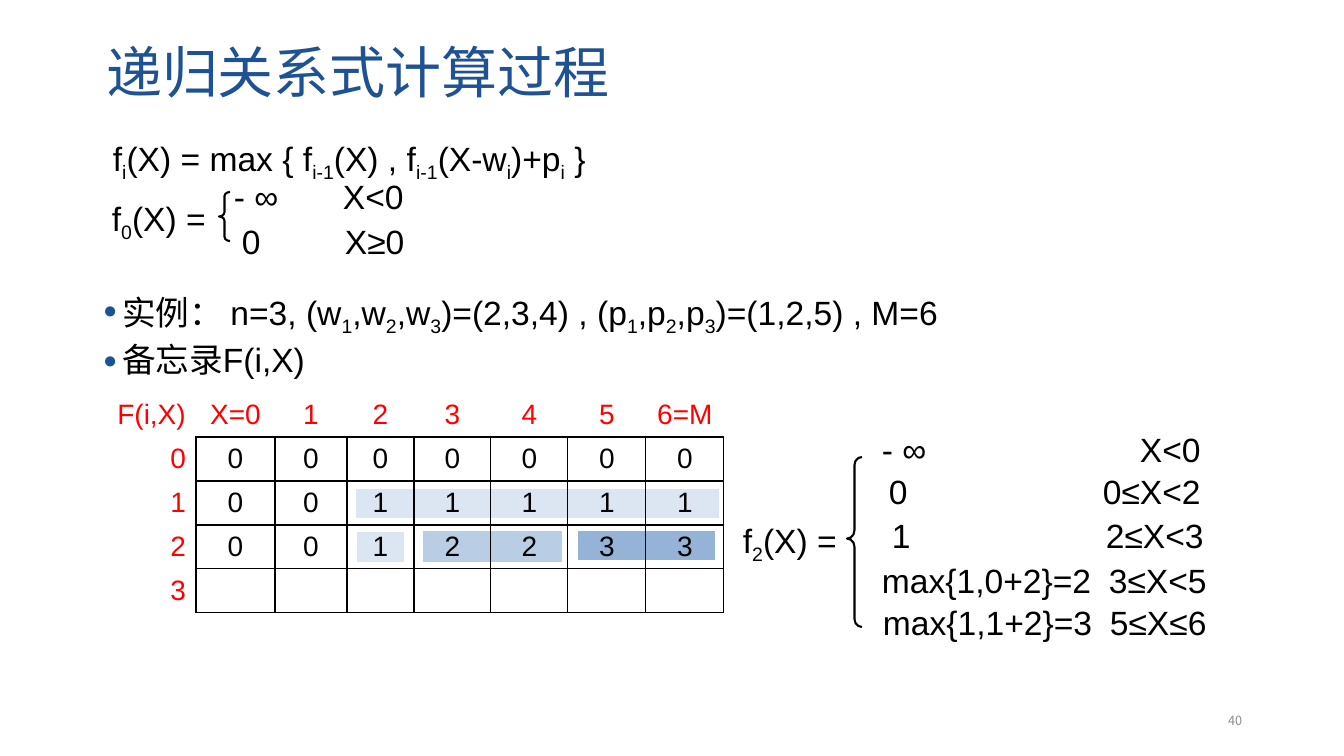
from lxml import etree
from pptx import Presentation
from pptx import util as u
from pptx.dml.color import RGBColor
from pptx.enum import shapes, text
from pptx.oxml.ns import qn

SCALE = 12192000 / 1344
COLORS = {"title": "1E5293", "ink": "000000", "red": "FF0000", "page": "8C8C8C", "white": "FFFFFF",
          "pale": "DCE6F2", "mid": "B9CDE5", "deep": "95B3D7"}
LATIN, CJK = "Arial", "Noto Sans CJK SC"
NO_TABLE_STYLE = "{2D5ABB26-0587-4C30-8999-92F81FD0307C}"


def px(n):
    return u.Emu(round(n * SCALE))


def color(name):
    return RGBColor.from_string(COLORS[name])


def add(parent, tag, **attrs):
    el = etree.SubElement(parent, qn(tag))
    for key, value in attrs.items():
        el.set(key, str(value))
    return el


class Deck:
    """Draws styled elements on the current slide, with lengths in px."""

    def __init__(self):
        self.prs = Presentation()
        self.prs.slide_width, self.prs.slide_height = px(1344), px(756)
        self.s = self.prs.slides.add_slide(self.prs.slide_layouts[1])

    def fill_text(self, p, marked, size=24, ink="ink", font=LATIN, **fmt):
        for key, value in {"space_before": u.Pt(0), **fmt}.items():
            setattr(p, key, value)
        for i, piece in enumerate(marked.split("~")):
            if not piece:
                continue
            r = p.add_run()
            r.text = piece
            for key, value in {"size": u.Pt(size), "name": font, "bold": False}.items():
                setattr(r.font, key, value)
            r.font.color.rgb = color(ink)
            rPr = r._r.get_or_add_rPr()
            add(rPr, "a:ea", typeface=CJK)
            if i % 2:
                rPr.set("baseline", "-25000")

    def place(self, sp, box, anchor=text.MSO_ANCHOR.TOP):
        for key, value in zip(("left", "top", "width", "height"), box):
            setattr(sp, key, px(value))
        tf = sp.text_frame
        for key, value in {"word_wrap": True, "auto_size": text.MSO_AUTO_SIZE.NONE,
                           "vertical_anchor": anchor}.items():
            setattr(tf, key, value)
        return tf

    def title(self, box, words):
        tf = self.place(self.s.shapes.title, box, text.MSO_ANCHOR.MIDDLE)
        self.fill_text(tf.paragraphs[0], words, 40, "title", line_spacing=0.9,
                       alignment=text.PP_ALIGN.LEFT)

    def bullets(self, box, items):
        tf = self.place(self.s.placeholders[1], box)
        for i, item in enumerate(items):
            p = tf.add_paragraph() if i else tf.paragraphs[0]
            pPr = p._p.get_or_add_pPr()
            pPr.set("marL", str(px(19)))
            pPr.set("indent", str(-px(19)))
            add(add(pPr, "a:buClr"), "a:srgbClr", val=COLORS["title"])
            add(pPr, "a:buSzPct", val=70000)
            add(pPr, "a:buFont", typeface=LATIN)
            add(pPr, "a:buChar", char="●")
            self.fill_text(p, item, line_spacing=0.9, space_before=u.Pt(7.5 if i else 0))

    def label(self, box, words, tab=None, anchor=text.MSO_ANCHOR.TOP, **fmt):
        tf = self.place(self.s.shapes.add_textbox(0, 0, 0, 0), box, anchor)
        p = tf.paragraphs[0]
        if tab:
            tabs = add(p._p.get_or_add_pPr(), "a:tabLst")
            add(tabs, "a:tab", pos=px(tab), algn="l")
        self.fill_text(p, words, **fmt)

    def shape(self, kind, box, fill=None, line="ink", adjust=()):
        sp = self.s.shapes.add_shape(kind, *map(px, box))
        sp.shadow.inherit = False
        if fill:
            sp.fill.solid()
            sp.fill.fore_color.rgb = color(fill)
        else:
            sp.fill.background()
        sp.line.color.rgb = color(line)
        sp.line.width = u.Pt(1.5)
        for i, value in enumerate(adjust):
            sp.adjustments[i] = value

    def border(self, cell, sides):
        tcPr = cell._tc.get_or_add_tcPr()
        for side in sides:
            ln = add(tcPr, "a:ln" + side, w=u.Pt(1))
            add(add(ln, "a:solidFill"), "a:srgbClr", val=COLORS["ink"])

    def table(self, left, top, widths, row_height, rows):
        box = (left, top, sum(widths), row_height * len(rows))
        t = self.s.shapes.add_table(len(rows), len(widths), *map(px, box)).table
        t.first_row = t.horz_banding = False
        t._tbl.tblPr.find(qn("a:tableStyleId")).text = NO_TABLE_STYLE
        for col, width in zip(t.columns, widths):
            col.width = px(width)
        for i, row in enumerate(rows):
            t.rows[i].height = px(row_height)
            for j, value in enumerate(row):
                cell = t.cell(i, j)
                self.border(cell, "LRTB" if i and j else "R" if i else "B" if j else "")
                cell.fill.background()
                cell.vertical_anchor = text.MSO_ANCHOR.MIDDLE
                self.fill_text(cell.text_frame.paragraphs[0], value, 20,
                               "ink" if i and j else "red",
                               alignment=text.PP_ALIGN.CENTER if j else text.PP_ALIGN.RIGHT)


def main():
    d = Deck()
    d.title((96, 26, 1159, 98), "递归关系式计算过程")
    d.bullets((93, 287, 1119, 415), [
        "实例： n=3, (w~1~,w~2~,w~3~)=(2,3,4) , (p~1~,p~2~,p~3~)=(1,2,5) , M=6",
        "备忘录F(i,X)"])
    d.label((103, 137, 778, 80), "f~i~(X) = max { f~i-1~(X) , f~i-1~(X-w~i~)+p~i~ }",
            line_spacing=0.8)

    brace = shapes.MSO_SHAPE.LEFT_BRACE
    d.shape(brace, (219, 192, 11, 49), adjust=(0.38, 0.5))
    d.shape(brace, (847, 457, 15, 170), adjust=(0.54, 0.48))
    d.label((102, 193, 130, 51), "f~0~(X) =")
    d.label((733, 515, 137, 82), "f~2~(X) =")
    for left, top, tab, value, condition in [
            (224, 171, 109, "- ∞", "X<0"),
            (232, 216, 103, "0", "X≥0"),
            (872, 424, 258, "- ∞", "X<0"),
            (879, 466, 214, "0", "0≤X<2"),
            (882, 510, 214, "1", "2≤X<3"),
            (872, 555, 227, "max{1,0+2}=2", "3≤X<5"),
            (873, 597, 227, "max{1,1+2}=3", "5≤X≤6")]:
        d.label((left, top, 400, 51), f"{value}\t{condition}", tab)

    for box, fill in [((422, 530, 141, 33), "mid"), ((356, 531, 49, 32), "pale"),
                      ((355, 488, 365, 31), "pale"), ((577, 530, 139, 31), "deep")]:
        d.shape(shapes.MSO_SHAPE.RECTANGLE, box, fill, "white")
    d.table(103, 393, (93, 79, 72, 67, 77, 77, 78, 78), 44, [
        ["F(i,X)", "X=0", "1", "2", "3", "4", "5", "6=M"],
        list("00000000"), list("10011111"), list("20012233"), ["3"] + [""] * 7])
    d.label((950, 701, 302, 40), "40", size=9, ink="page", font=CJK,
            anchor=text.MSO_ANCHOR.MIDDLE, alignment=text.PP_ALIGN.RIGHT)
    d.prs.save("out.pptx")


if __name__ == "__main__":
    main()
